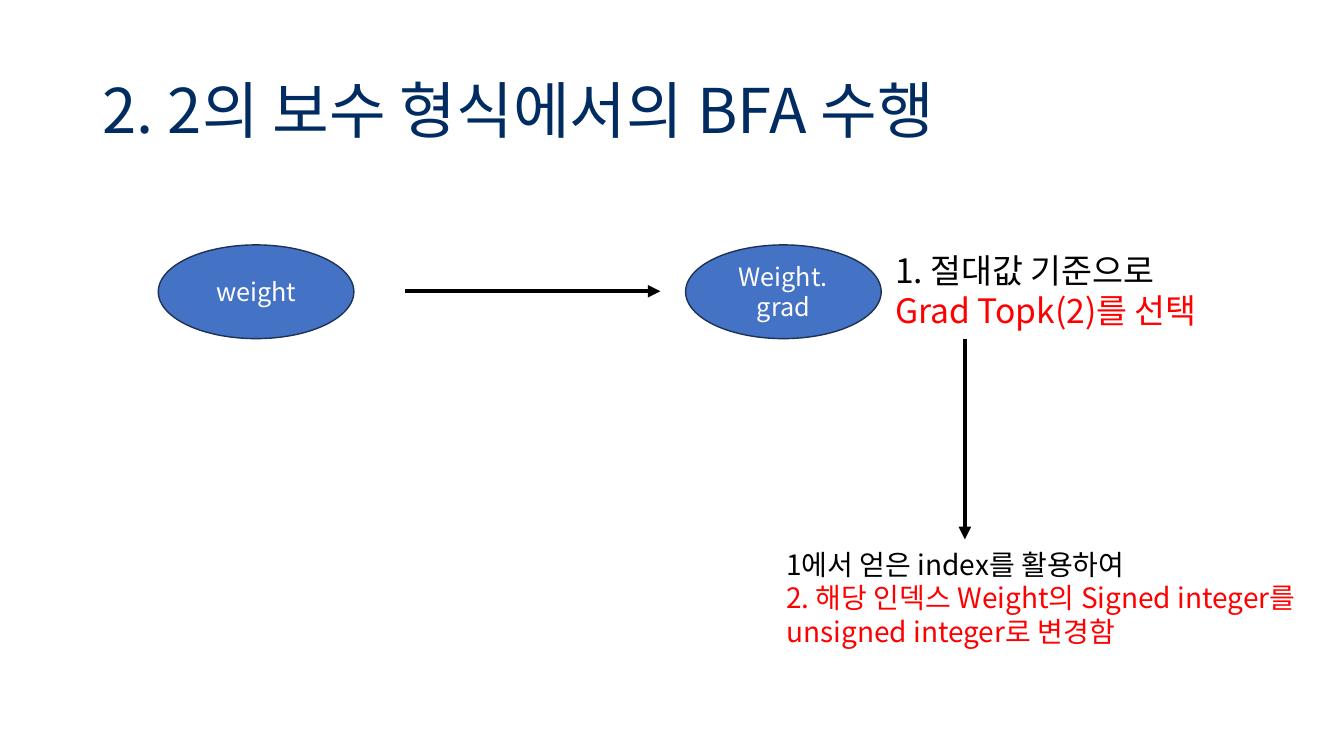
"""Build the slide on running BFA in two's complement form."""
from lxml import etree
from pptx import Presentation
from pptx.dml.color import RGBColor
from pptx.enum.shapes import MSO_CONNECTOR, MSO_SHAPE
from pptx.enum.text import MSO_ANCHOR, PP_ALIGN
from pptx.oxml.ns import qn
from pptx.util import Inches, Pt

STRAIGHT = MSO_CONNECTOR.STRAIGHT
OVAL = MSO_SHAPE.OVAL
TOP, MIDDLE = MSO_ANCHOR.TOP, MSO_ANCHOR.MIDDLE
LEFT, CENTER = PP_ALIGN.LEFT, PP_ALIGN.CENTER
FONT = "Noto Sans CJK KR"
COLORS = {
    "title": "002C62",
    "node": "4472C4",
    "outline": "1E3256",
    "white": "FFFFFF",
    "black": "000000",
    "red": "FF0000",
}


def write(sp, lines, size, anchor=TOP, align=LEFT, spacing=None):
    """Fill a shape with (text, colour) paragraphs."""
    tf = sp.text_frame
    tf.word_wrap = True
    tf.vertical_anchor = anchor
    for i, (text, color) in enumerate(lines):
        p = tf.add_paragraph() if i else tf.paragraphs[0]
        p.alignment = align
        p.line_spacing = spacing
        r = p.add_run()
        r.text = text
        r.font.size = Pt(size)
        r.font.color.rgb = RGBColor.from_string(COLORS[color])
        r.font.name = FONT
        etree.SubElement(r.font._element, qn("a:ea"), typeface=FONT)


prs = Presentation()
prs.slide_width, prs.slide_height = Inches(13.33), Inches(7.5)
s = prs.slides.add_slide(prs.slide_layouts[6])

title = s.shapes.add_textbox(Inches(0.92), Inches(0.4), Inches(11.5), Inches(1.45))
write(title, [("2. 2의 보수 형식에서의 BFA 수행", "title")], 44, anchor=MIDDLE, spacing=0.9)

for label, x in [("weight", 1.57), ("Weight. grad", 6.8)]:
    sp = s.shapes.add_shape(OVAL, Inches(x), Inches(2.43), Inches(1.94), Inches(0.93))
    sp.shadow.inherit = False
    sp.fill.solid()
    sp.fill.fore_color.rgb = RGBColor.from_string(COLORS["node"])
    sp.line.color.rgb = RGBColor.from_string(COLORS["outline"])
    sp.line.width = Pt(1)
    write(sp, [(label, "white")], 18, anchor=MIDDLE, align=CENTER)

for x1, y1, x2, y2 in [(4.02, 2.89, 6.55, 2.89), (9.57, 3.36, 9.57, 5.35)]:
    arrow = s.shapes.add_connector(STRAIGHT, Inches(x1), Inches(y1), Inches(x2), Inches(y2))
    arrow.line.color.rgb = RGBColor.from_string(COLORS["black"])
    arrow.line.width = Pt(3)
    etree.SubElement(arrow.line._get_or_add_ln(), qn("a:tailEnd"), type="triangle")
    etree.SubElement(arrow._element.spPr, qn("a:effectLst"))

steps = [
    (8.78, 2.43, 3.68, 0.9, 24, "1. 절대값 기준으로", "Grad Topk(2)를 선택"),
    (7.7, 5.38, 5.46, 1.1, 20, "1에서 얻은 index를 활용하여",
     "2. 해당 인덱스 Weight의 Signed integer를 unsigned integer로 변경함"),
]
for x, y, w, h, size, basis, action in steps:
    step = s.shapes.add_textbox(Inches(x), Inches(y), Inches(w), Inches(h))
    write(step, [(basis, "black"), (action, "red")], size)

prs.save("out.pptx")
